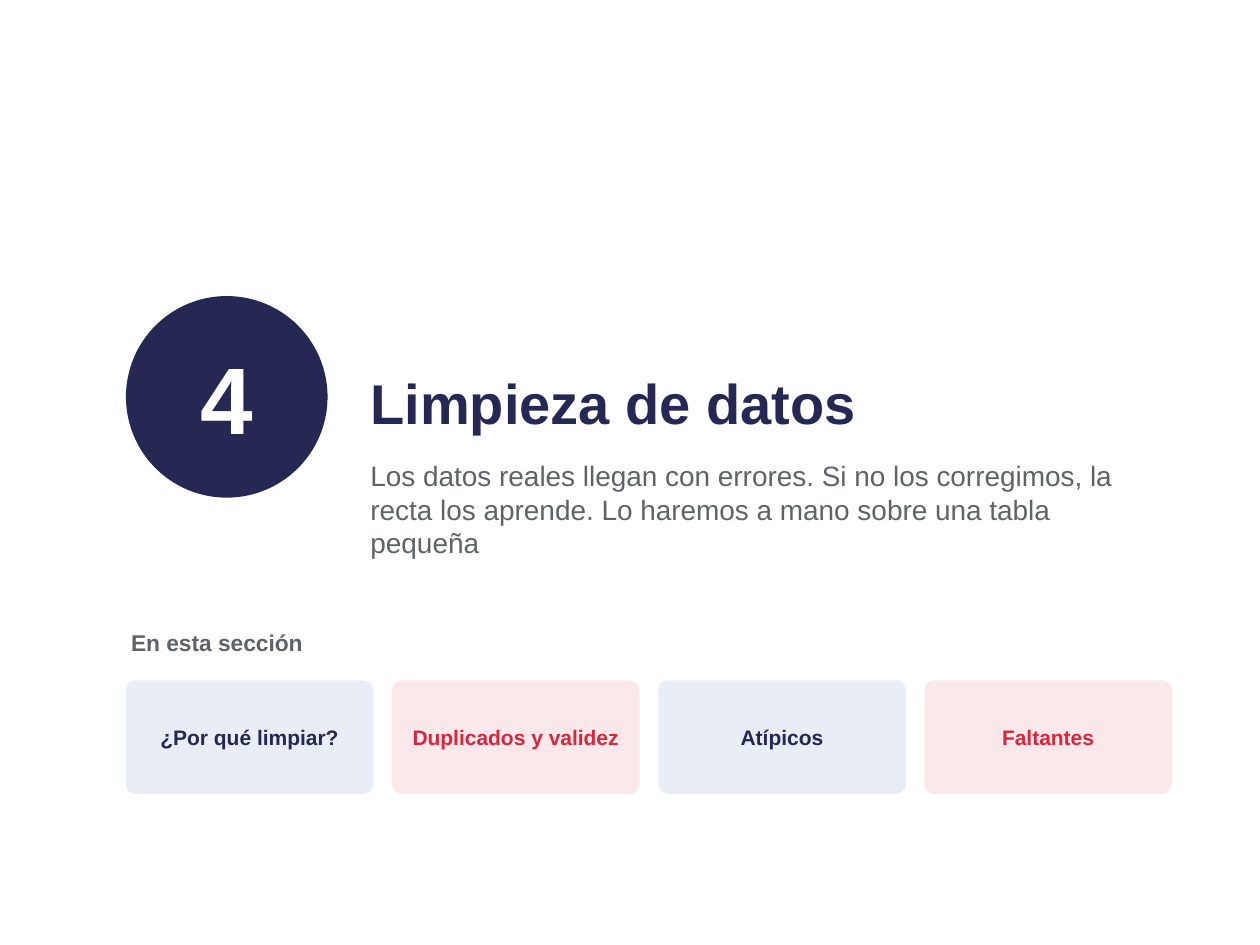
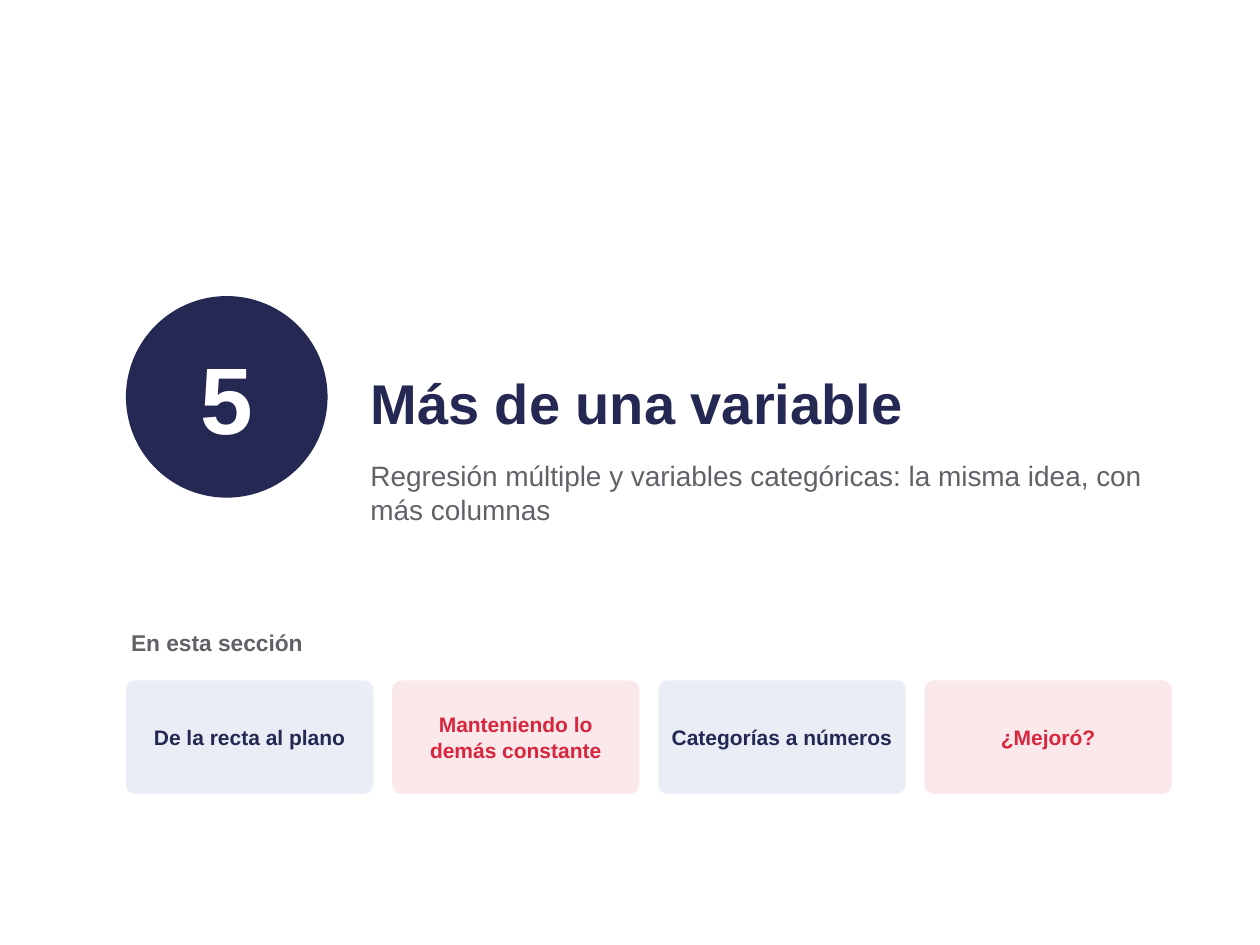
from dataclasses import dataclass

from pptx import Presentation
from pptx.dml.color import RGBColor
from pptx.enum import shapes, text
from pptx.util import Inches, Pt

NAVY = RGBColor(0x24, 0x28, 0x52)
RED = RGBColor(0xD7, 0x26, 0x3D)
GRAY = RGBColor(0x5F, 0x63, 0x68)
WHITE = RGBColor(0xFF, 0xFF, 0xFF)
PALE_BLUE = RGBColor(0xE8, 0xED, 0xF6)
PALE_RED = RGBColor(0xFB, 0xE8, 0xEA)

FONT = "Arial"
LEFT = 1
CONTENT_WIDTH = 8.3
HEADING_LEFT = 2.9
HEADING_WIDTH = LEFT + CONTENT_WIDTH - HEADING_LEFT
TOPIC_GAP = 0.15
TOPIC_TONES = [(PALE_BLUE, NAVY), (PALE_RED, RED)]


@dataclass(frozen=True)
class Box:
    left: float
    top: float
    width: float
    height: float

    def lengths(self) -> list:
        return [Inches(n) for n in (self.left, self.top, self.width, self.height)]


@dataclass(frozen=True)
class Style:
    size: int
    color: RGBColor
    bold: bool = True


@dataclass(frozen=True)
class Section:
    number: int
    title: str
    summary: str
    topics: tuple[str, ...]


SECTIONS = [
    Section(
        4,
        "Limpieza de datos",
        "Los datos reales llegan con errores. Si no los corregimos, la recta "
        "los aprende. Lo haremos a mano sobre una tabla pequeña",
        ("¿Por qué limpiar?", "Duplicados y validez", "Atípicos", "Faltantes"),
    ),
    Section(
        5,
        "Más de una variable",
        "Regresión múltiple y variables categóricas: la misma idea, con más columnas",
        ("De la recta al plano", "Manteniendo lo demás constante",
         "Categorías a números", "¿Mejoró?"),
    ),
]


def write(frame, words: str, style: Style, margin: float, space_after: int,
          anchor, align) -> None:
    frame.word_wrap = True
    frame.vertical_anchor = anchor
    frame.margin_left = frame.margin_right = Inches(margin)
    frame.margin_top = frame.margin_bottom = Inches(margin)
    paragraph = frame.paragraphs[0]
    paragraph.alignment = align
    paragraph.space_after = Pt(space_after)
    run = paragraph.add_run()
    run.text = words
    run.font.name = FONT
    run.font.size = Pt(style.size)
    run.font.bold = style.bold
    run.font.color.rgb = style.color


def add_label(slide, box: Box, words: str, style: Style,
              anchor=text.MSO_ANCHOR.TOP) -> None:
    frame = slide.shapes.add_textbox(*box.lengths()).text_frame
    write(frame, words, style, 0.04, 4, anchor, text.PP_ALIGN.LEFT)
    frame.auto_size = text.MSO_AUTO_SIZE.SHAPE_TO_FIT_TEXT


def add_panel(slide, outline, box: Box, fill: RGBColor, words: str, style: Style):
    panel = slide.shapes.add_shape(outline, *box.lengths())
    panel.shadow.inherit = False
    panel.fill.solid()
    panel.fill.fore_color.rgb = fill
    panel.line.fill.background()
    write(panel.text_frame, words, style, 0.08, 3,
          text.MSO_ANCHOR.MIDDLE, text.PP_ALIGN.CENTER)
    return panel


def add_topics(slide, topics: tuple[str, ...]) -> None:
    add_label(slide, Box(LEFT, 4.95, CONTENT_WIDTH, 0.4), "En esta sección",
              Style(13, GRAY))
    width = (CONTENT_WIDTH - TOPIC_GAP * (len(topics) - 1)) / len(topics)
    for index, topic in enumerate(topics):
        fill, color = TOPIC_TONES[index % len(TOPIC_TONES)]
        box = Box(LEFT + index * (width + TOPIC_GAP), 5.4, width, 0.9)
        card = add_panel(slide, shapes.MSO_SHAPE.ROUNDED_RECTANGLE, box, fill,
                         topic, Style(12, color))
        card.adjustments[0] = 0.08


def add_section(deck, section: Section) -> None:
    slide = deck.slides.add_slide(deck.slide_layouts[6])
    slide.background.fill.solid()
    slide.background.fill.fore_color.rgb = WHITE
    add_topics(slide, section.topics)
    add_panel(slide, shapes.MSO_SHAPE.OVAL, Box(LEFT, 2.35, 1.6, 1.6), NAVY,
              str(section.number), Style(54, WHITE))
    add_label(slide, Box(HEADING_LEFT, 2, HEADING_WIDTH, 1.5), section.title,
              Style(32, NAVY), text.MSO_ANCHOR.BOTTOM)
    add_label(slide, Box(HEADING_LEFT, 3.6, HEADING_WIDTH, 1.2), section.summary,
              Style(16, GRAY, bold=False))


def main() -> None:
    deck = Presentation()
    deck.slide_width = Inches(10)
    deck.slide_height = Inches(7.5)
    for section in SECTIONS:
        add_section(deck, section)
    deck.save("out.pptx")


if __name__ == "__main__":
    main()
